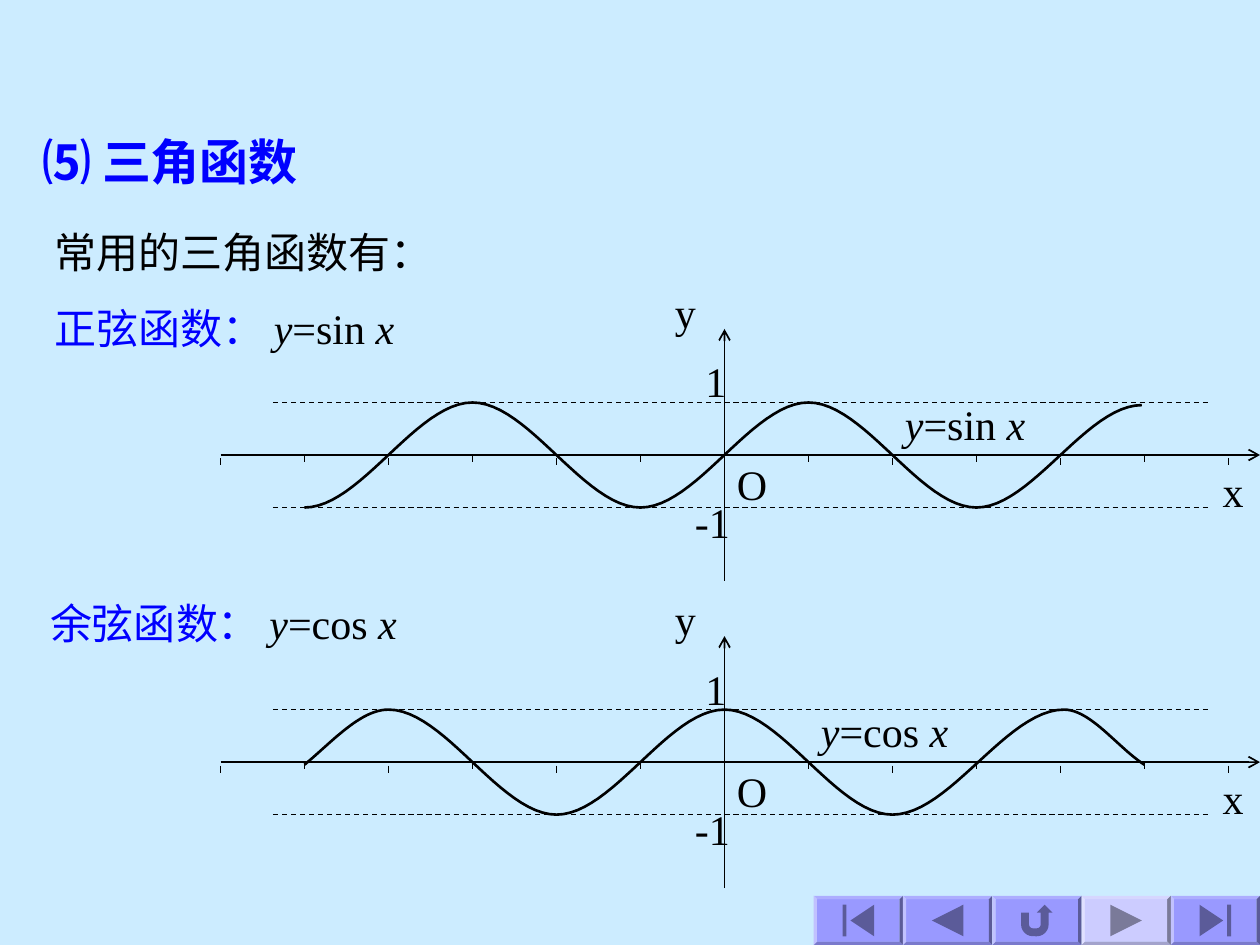
"""Build the slide on the sine and cosine functions and their graphs."""
from dataclasses import dataclass

from lxml import etree
from pptx import Presentation
from pptx.dml.color import RGBColor
from pptx.enum.dml import MSO_LINE
from pptx.enum.shapes import MSO_CONNECTOR, MSO_SHAPE
from pptx.enum.text import MSO_AUTO_SIZE
from pptx.oxml.ns import qn
from pptx.util import Pt

STRAIGHT = MSO_CONNECTOR.STRAIGHT
DASH = MSO_LINE.DASH
FIT_SHAPE = MSO_AUTO_SIZE.SHAPE_TO_FIT_TEXT
NO_FIT = MSO_AUTO_SIZE.NONE
BEVEL = MSO_SHAPE.BEVEL
FIRST = MSO_SHAPE.ACTION_BUTTON_BEGINNING
PREVIOUS = MSO_SHAPE.ACTION_BUTTON_BACK_OR_PREVIOUS
RETURN = MSO_SHAPE.ACTION_BUTTON_RETURN
NEXT = MSO_SHAPE.ACTION_BUTTON_FORWARD_OR_NEXT
LAST = MSO_SHAPE.ACTION_BUTTON_END


@dataclass(frozen=True)
class Theme:
    background: RGBColor = RGBColor(0xCC, 0xEC, 0xFF)
    ink: RGBColor = RGBColor(0, 0, 0)
    accent: RGBColor = RGBColor(0, 0, 0xFF)
    button: RGBColor = RGBColor(0x99, 0x99, 0xFF)
    active_button: RGBColor = RGBColor(0xCC, 0xCC, 0xFF)
    font: str = "Times New Roman"
    title_size: float = 28
    body_size: float = 24
    thin: float = 0.75
    axis: float = 1
    curve: float = 1.5


class SlideBuilder:
    def __init__(self, slide, theme):
        self.slide = slide
        self.shapes = slide.shapes
        self.theme = theme
        slide.background.fill.solid()
        slide.background.fill.fore_color.rgb = theme.background

    def text(self, box, paragraphs, spacing=None, size=None, bold=False,
             inset=True, wrap=False, grow=True):
        frame = self.shapes.add_textbox(*map(Pt, box)).text_frame
        frame.word_wrap = wrap
        frame.auto_size = FIT_SHAPE if grow else NO_FIT
        if not inset:
            frame.margin_left = frame.margin_right = 0
            frame.margin_top = frame.margin_bottom = 0
        for index, pieces in enumerate(paragraphs):
            paragraph = frame.add_paragraph() if index else frame.paragraphs[0]
            if spacing:
                paragraph.line_spacing = spacing
            paragraph.font.name = self.theme.font
            paragraph.font.size = Pt(size or self.theme.body_size)
            paragraph.font.bold = bold
            for words, color, italic in pieces:
                run = paragraph.add_run()
                run.text = words
                run.font.color.rgb = color
                run.font.italic = italic

    def label(self, left, top, words, height=24.5, spacing=0.6, width=26):
        self.text((left, top, width, height), [[(words, self.theme.ink, False)]], spacing)

    def line(self, start, end, width, dash=None, arrow=False):
        connector = self.shapes.add_connector(STRAIGHT, *map(Pt, (*start, *end)))
        connector.line.color.rgb = self.theme.ink
        connector.line.width = Pt(width)
        if dash:
            connector.line.dash_style = dash
        if arrow:
            etree.SubElement(connector.line._get_or_add_ln(), qn("a:tailEnd"), type="arrow")
        etree.SubElement(connector._element.spPr, qn("a:effectLst"))

    def curve(self, points):
        corners = [(Pt(x), Pt(y)) for x, y in points]
        builder = self.shapes.build_freeform(*corners[0])
        builder.add_line_segments(corners[1:], close=False)
        graph = builder.convert_to_shape()
        graph.shadow.inherit = False
        graph.fill.background()
        graph.line.color.rgb = self.theme.ink
        graph.line.width = Pt(self.theme.curve)

    def preset(self, kind, box, color):
        shape = self.shapes.add_shape(kind, *map(Pt, box))
        shape.shadow.inherit = False
        shape.fill.solid()
        shape.fill.fore_color.rgb = color
        shape.line.fill.background()
        return shape

    def button(self, kind, box, color, edge=2):
        left, top, width, height = box
        frame = self.preset(BEVEL, box, color)
        frame.adjustments[0] = edge / height
        face = (left + edge, top + edge, width - 2 * edge, height - 2 * edge)
        self.preset(kind, face, color)


def smooth_points(knots, steps=24):
    """Join (x, y, slope) knots with cubic Hermite pieces."""
    points = [knots[0][:2]]
    for (x0, y0, slope0), (x1, y1, slope1) in zip(knots, knots[1:]):
        span = x1 - x0
        for step in range(1, steps + 1):
            t = step / steps
            rise = t * t * (3 - 2 * t)
            bend = t * (1 - t) * span * (slope0 * (1 - t) - slope1 * t)
            points.append((x0 + span * t, y0 + (y1 - y0) * rise + bend))
    return points


def formula(name, ink):
    return [("y", ink, True), (f"={name} ", ink, False), ("x", ink, True)]


def draw_graph(builder, axis_y, name, name_box, knots):
    theme = builder.theme
    origin_x, quarter, amplitude = 414, 48, 30
    for level in (axis_y - amplitude, axis_y + amplitude):
        builder.line((156, level), (691, level), theme.thin, dash=DASH)
    builder.curve([(origin_x + x, axis_y + y) for x, y in smooth_points(knots)])
    builder.line((126, axis_y), (720, axis_y), theme.axis, arrow=True)
    builder.line((origin_x, axis_y + 72), (origin_x, axis_y - 72), theme.axis, arrow=True)
    for number in range(-6, 7):
        x = origin_x + number * quarter
        top = axis_y if number % 2 else axis_y + 2
        builder.line((x, top), (x, top + 4), theme.thin)
    builder.label(396, axis_y - 50, "1")
    builder.label(390, axis_y + 20, "-1", height=36, spacing=None, width=34.5)
    builder.label(378.5, axis_y - 89.5, "y")
    builder.label(691.5, axis_y + 12.5, "x")
    builder.label(origin_x, axis_y + 6.5, "O", height=27.5, spacing=0.7, width=31.5)
    builder.text(name_box, [formula(name, theme.ink)])


def main():
    theme = Theme()
    deck = Presentation()
    deck.slide_width, deck.slide_height = Pt(720), Pt(540)
    builder = SlideBuilder(deck.slides.add_slide(deck.slide_layouts[6]), theme)

    builder.text((24, 75, 183.5, 34), [[("⑸ 三角函数", theme.accent, False)]],
                 size=theme.title_size, bold=True, inset=False, wrap=True)
    builder.text((24, 111.5, 292, 95), [
        [("常用的三角函数有：", theme.ink, False)],
        [("正弦函数： ", theme.accent, False), *formula("sin", theme.ink)],
    ], spacing=1.5, wrap=True, grow=False)
    builder.text((21.5, 338, 250, 36), [
        [("余弦函数： ", theme.accent, False), *formula("cos", theme.ink)],
    ], wrap=True)

    sine_knots = [(-240, 30, 0), (-144, -30, 0), (-48, 30, 0),
                  (48, -30, 0), (144, 30, 0), (238.5, -28.5, 0)]
    cosine_knots = [(-240, 1.5, -0.83), (-192, -30, 0), (-96, 30, 0), (0, -30, 0),
                    (96, 30, 0), (194, -30, 0), (240, 1.5, 0.64)]
    draw_graph(builder, 260, "sin", (510, 224, 83, 36), sine_knots)
    draw_graph(builder, 435.5, "cos", (462, 399.5, 87, 36), cosine_knots)

    button_width, button_height = 51, 28
    buttons = (FIRST, PREVIOUS, RETURN, NEXT, LAST)
    first_left = 720 - len(buttons) * button_width
    for index, kind in enumerate(buttons):
        color = theme.active_button if kind == NEXT else theme.button
        builder.button(kind, (first_left + index * button_width, 540 - button_height,
                              button_width, button_height), color)
    deck.save("out.pptx")


if __name__ == "__main__":
    main()
